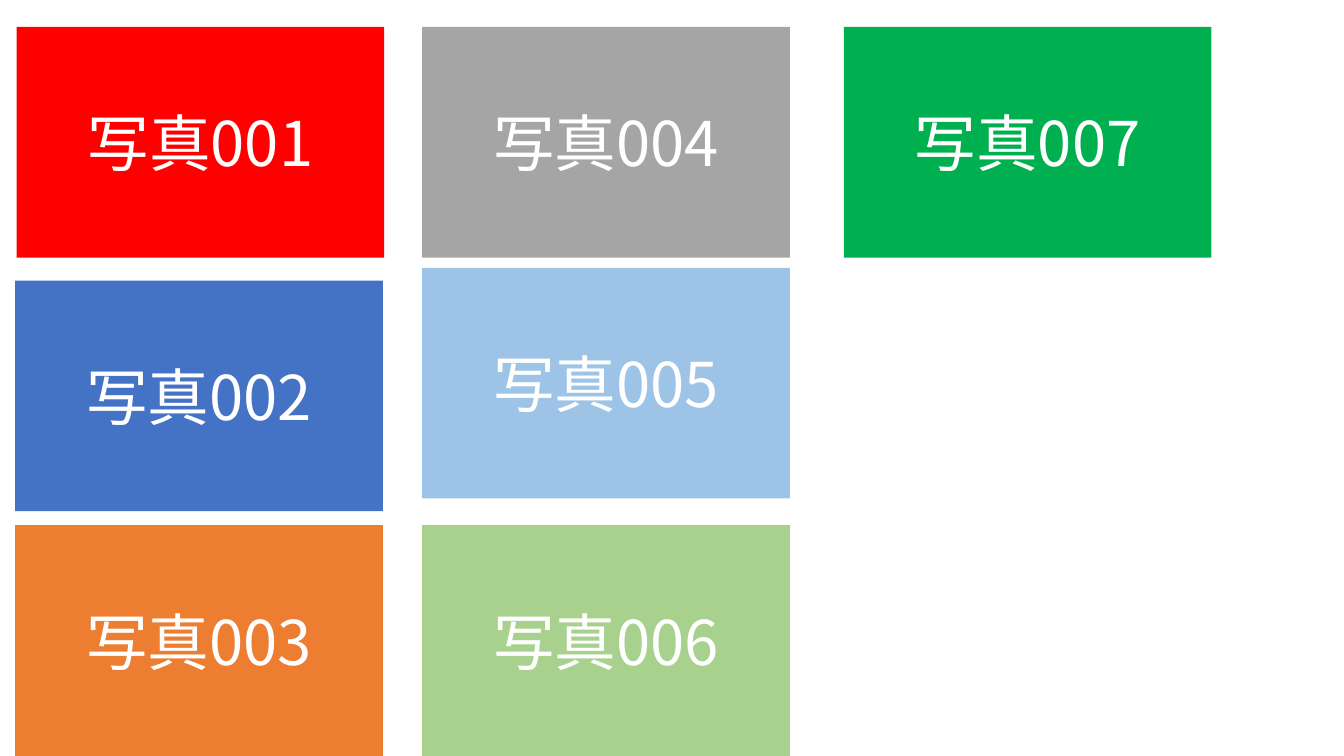
from lxml.etree import SubElement
from pptx import Presentation
from pptx.dml.color import RGBColor
from pptx.enum.lang import MSO_LANGUAGE_ID as Language
from pptx.enum.shapes import MSO_SHAPE as Shape
from pptx.enum.text import MSO_ANCHOR as Anchor, PP_ALIGN as Align
from pptx.oxml.ns import qn
from pptx.util import Pt

FONT = "Noto Sans CJK JP"
WHITE = RGBColor(0xFF, 0xFF, 0xFF)
RED = RGBColor(0xFF, 0x00, 0x00)
BLUE = RGBColor(0x44, 0x72, 0xC4)
ORANGE = RGBColor(0xED, 0x7D, 0x31)
GRAY = RGBColor(0xA5, 0xA5, 0xA5)
LIGHT_BLUE = RGBColor(0x9D, 0xC3, 0xE6)
LIGHT_GREEN = RGBColor(0xA9, 0xD1, 0x8E)
GREEN = RGBColor(0x00, 0xB0, 0x50)

CARD_WIDTH, CARD_HEIGHT = 262.7, 164.7
TOP_ROW, BOTTOM_ROW = 19.3, 375.2
LEFT_COLUMN, MIDDLE_COLUMN = 10.8, 301.5

# left, top, fill; numbered in this order
PHOTO_CARDS = [
    (11.8, TOP_ROW, RED),
    (LEFT_COLUMN, 200.4, BLUE),
    (LEFT_COLUMN, BOTTOM_ROW, ORANGE),
    (MIDDLE_COLUMN, TOP_ROW, GRAY),
    (MIDDLE_COLUMN, 191.4, LIGHT_BLUE),
    (MIDDLE_COLUMN, BOTTOM_ROW, LIGHT_GREEN),
    (602.7, TOP_ROW, GREEN),
]


def add_label(box, text):
    frame = box.text_frame
    frame.vertical_anchor = Anchor.MIDDLE
    para = frame.paragraphs[0]
    para.alignment = Align.CENTER
    span = para.add_run()
    span.text = text
    font = span.font
    font.name = FONT
    font.size = Pt(44)
    font.color.rgb = WHITE
    font.language_id = Language.JAPANESE
    SubElement(span._r.get_or_add_rPr(), qn("a:ea"), typeface=FONT)


def add_photo_card(page, left, top, color, text):
    box = page.shapes.add_shape(
        Shape.RECTANGLE, Pt(left), Pt(top), Pt(CARD_WIDTH), Pt(CARD_HEIGHT)
    )
    box.shadow.inherit = False
    box.fill.solid()
    box.fill.fore_color.rgb = color
    box.line.fill.background()
    add_label(box, text)


def main():
    deck = Presentation()
    deck.slide_width, deck.slide_height = Pt(960), Pt(540)
    blank_layout = deck.slide_layouts[6]
    page = deck.slides.add_slide(blank_layout)
    for number, (left, top, color) in enumerate(PHOTO_CARDS, start=1):
        add_photo_card(page, left, top, color, f"写真{number:03}")
    deck.save("out.pptx")


if __name__ == "__main__":
    main()
